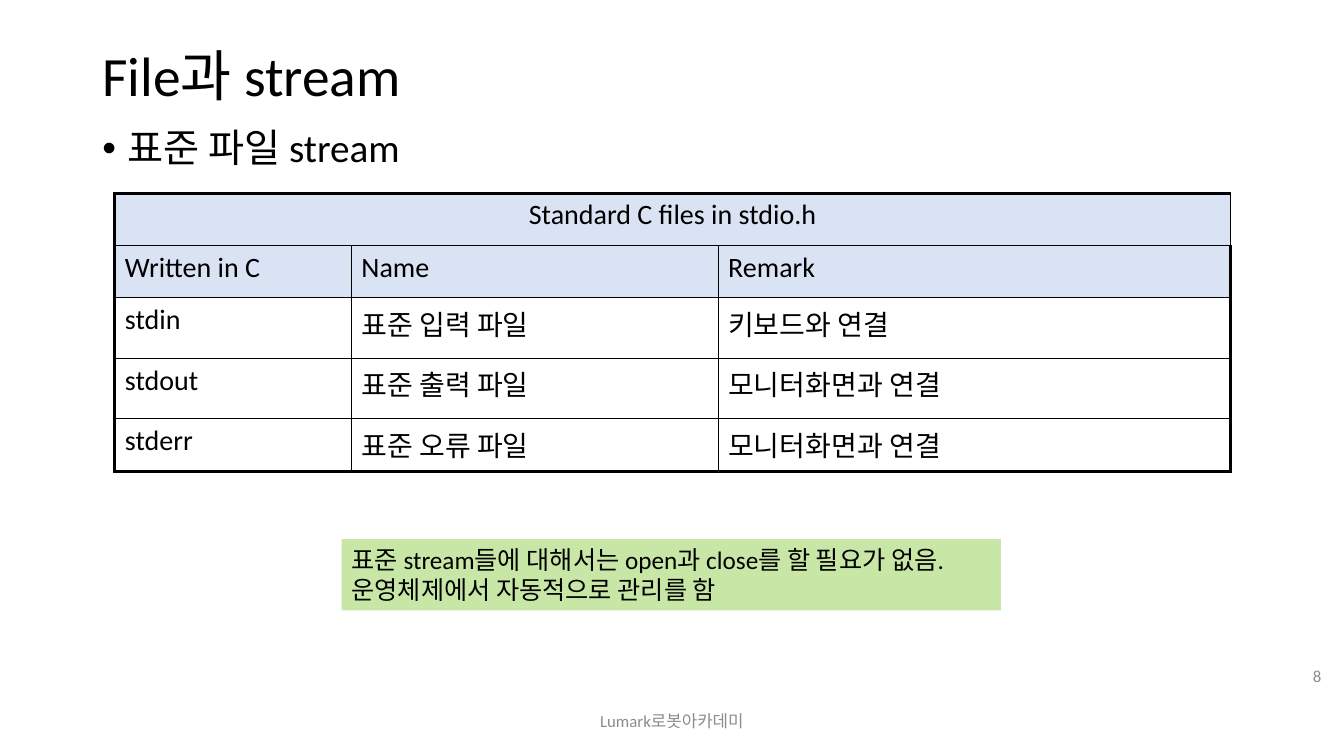
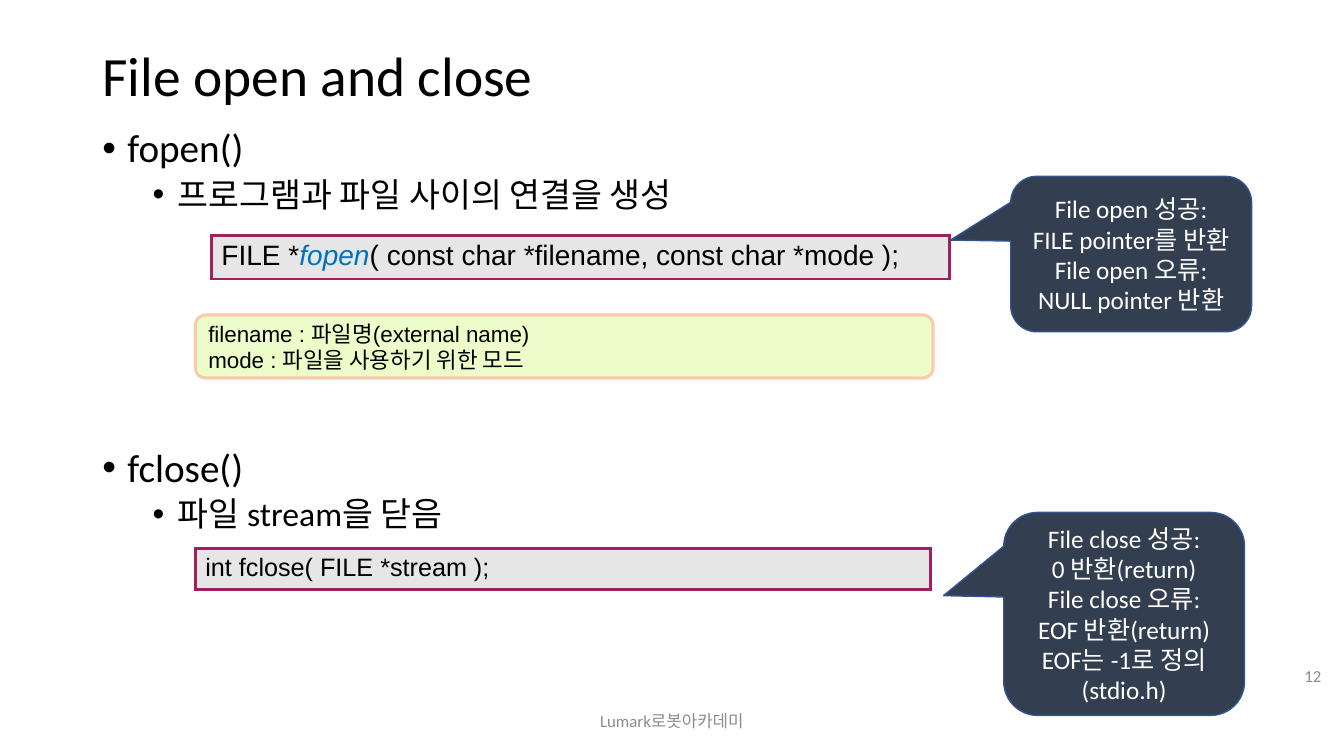
from itertools import product

from lxml.etree import SubElement
from pptx import Presentation
from pptx.dml.color import RGBColor
from pptx.enum.shapes import MSO_SHAPE as Shape
from pptx.enum.text import MSO_ANCHOR as Anchor, PP_ALIGN as Align
from pptx.oxml.ns import qn
from pptx.util import Pt

COLORS = {
    "ink": "000000", "muted": "8C8C8C", "white": "FFFFFF", "header": "DAE3F3",
    "note": "92D050", "code": "E7E6E6", "code_edge": "9F1F63", "keyword": "0070C0",
    "params": "ECFDC7", "params_edge": "F8CBAD", "callout": "333F50", "callout_edge": "325491",
}
FOOTER = "Lumark로봇아카데미"
LEVELS = [
    {"size": 28, "indent": 18, "before": 10},
    {"size": 24, "indent": 54, "before": 5},
]

STREAM_BULLETS = [(0, "표준 파일 stream", 0)]
STREAM_ROWS = [
    ["Standard C files in stdio.h", "", ""],
    ["Written in C", "Name", "Remark"],
    ["stdin", "표준 입력 파일", "키보드와 연결"],
    ["stdout", "표준 출력 파일", "모니터화면과 연결"],
    ["stderr", "표준 오류 파일", "모니터화면과 연결"],
]
STREAM_WIDTHS = [169, 262, 366]
STREAM_HEIGHTS = [37.4, 37.4, 43.2, 43.2, 37.4]
HEADER_ROWS = 2
STREAM_NOTE = [
    "표준 stream들에 대해서는 open과 close를 할 필요가 없음.",
    "운영체제에서 자동적으로 관리를 함",
]

OPEN_CLOSE_BULLETS = [
    (0, "fopen()", 0),
    (1, "프로그램과 파일 사이의 연결을 생성", 0),
    (0, "fclose()", 157),
    (1, "파일 stream을 닫음", 0),
]
PROTOTYPES = [
    (151, 168, 527, 30, 20,
     [("FILE *", False), ("fopen", True), ("( const char *filename, const char *mode );", False)]),
    (139.5, 392, 525, 28.5, 18, [("int fclose( FILE *stream );", False)]),
]
PARAMETERS = ["filename : 파일명(external name)", "mode : 파일을 사용하기 위한 모드"]
CALLOUTS = [
    (722, 126, 172, 111,
     ["File open 성공:\vFILE pointer를 반환", "File open 오류:", "NULL pointer 반환"]),
    (717, 366, 172, 145,
     ["File close 성공:\v0 반환(return)", "File close 오류:", "EOF 반환(return)",
      "EOF는 -1로 정의(stdio.h)"]),
]


def rgb(name):
    return RGBColor.from_string(COLORS[name])


def style(font, size, color="ink", face="Calibri"):
    font.size, font.name = Pt(size), face
    font.color.rgb = rgb(color)


def paint(item, color, opacity=100):
    item.fill.solid()
    item.fill.fore_color.rgb = rgb(color)
    if opacity < 100:
        tint = item.fill._xPr.find(qn("a:solidFill"))[0]
        SubElement(tint, qn("a:alpha"), val=str(opacity * 1000))


def write(frame, lines, size, color="ink", face="Calibri", align=Align.LEFT, anchor=Anchor.MIDDLE):
    frame.word_wrap = True
    frame.vertical_anchor = anchor
    for index, line in enumerate(lines):
        para = frame.paragraphs[0] if index == 0 else frame.add_paragraph()
        para.text = line
        para.alignment = align
        style(para.font, size, color, face)


def add_text(page, place, lines, size, **options):
    box = page.shapes.add_textbox(*map(Pt, place))
    write(box.text_frame, lines, size, **options)
    return box


def add_panel(page, kind, place, fill, edge, edge_width, opacity=100):
    panel = page.shapes.add_shape(kind, *map(Pt, place))
    panel.shadow.inherit = False
    paint(panel, fill, opacity)
    panel.line.color.rgb = rgb(edge)
    panel.line.width = Pt(edge_width)
    return panel


def add_bullets(page, bullets):
    frame = page.shapes.add_textbox(Pt(66), Pt(88.5), Pt(828), Pt(398)).text_frame
    frame.word_wrap = True
    for index, (level, text, gap) in enumerate(bullets):
        look = LEVELS[level]
        para = frame.paragraphs[0] if index == 0 else frame.add_paragraph()
        para.text = text
        para.level = level
        para.line_spacing = 0.9
        para.space_before = Pt(look["before"] + gap if index else 0)
        props = para._p.get_or_add_pPr()
        props.set("marL", str(Pt(look["indent"])))
        props.set("indent", str(Pt(-18)))
        SubElement(props, qn("a:buFont"), typeface="Arial")
        SubElement(props, qn("a:buChar"), char="•")
        style(para.font, look["size"])


def add_page(deck, title, number, bullets):
    page = deck.slides.add_slide(deck.slide_layouts[6])
    heading = add_text(page, (66, 29, 828, 54), [title], 39.6)
    heading.text_frame.paragraphs[0].line_spacing = 0.9
    add_bullets(page, bullets)
    add_text(page, (318, 500.5, 324, 29), [FOOTER], 12, color="muted", align=Align.CENTER)
    add_text(page, (906, 468.5, 45, 29), [number], 12, color="muted", align=Align.RIGHT)
    return page


def add_grid(page, left, top, widths, heights):
    table = page.shapes.add_table(
        len(heights), len(widths), Pt(left), Pt(top), Pt(sum(widths)), Pt(sum(heights))).table
    table.first_row = table.horz_banding = False
    for column, width in zip(table.columns, widths):
        column.width = Pt(width)
    for row, height in zip(table.rows, heights):
        row.height = Pt(height)
    return table


def finish_cell(cell, fill, color, widths):
    cell.margin_left = cell.margin_right = Pt(7.2)
    cell.margin_top = cell.margin_bottom = Pt(3.6)
    props = cell._tc.get_or_add_tcPr()
    for side, width in zip("LRTB", widths):
        line = SubElement(props, qn("a:ln" + side), w=str(Pt(width)))
        solid = SubElement(line, qn("a:solidFill"))
        SubElement(solid, qn("a:srgbClr"), val=COLORS[color])
    if fill:
        paint(cell, fill)
    else:
        cell.fill.background()


def add_stream_table(page):
    table = add_grid(page, 82, 138, STREAM_WIDTHS, STREAM_HEIGHTS)
    last_row, last_column = len(STREAM_HEIGHTS) - 1, len(STREAM_WIDTHS) - 1
    for row, column in product(range(last_row + 1), range(last_column + 1)):
        cell = table.cell(row, column)
        outer = (column == 0, column == last_column, row == 0, row == last_row)
        edges = [2.25 if is_outer else 1 for is_outer in outer]
        finish_cell(cell, "header" if row < HEADER_ROWS else None, "ink", edges)
        if STREAM_ROWS[row][column]:
            align = Align.LEFT if row else Align.CENTER
            write(cell.text_frame, [STREAM_ROWS[row][column]], 20, align=align, anchor=Anchor.TOP)
    table.cell(0, 0).merge(table.cell(0, last_column))


def add_prototype(page, left, top, width, height, size, pieces):
    cell = add_grid(page, left, top, [width], [height]).cell(0, 0)
    finish_cell(cell, "code", "code_edge", [2.25] * 4)
    para = cell.text_frame.paragraphs[0]
    for text, is_keyword in pieces:
        span = para.add_run()
        span.text = text
        style(span.font, size, "keyword" if is_keyword else "ink", "Arial")
        span.font.italic = is_keyword


def build_streams(deck):
    page = add_page(deck, "File과 stream", "8", STREAM_BULLETS)
    add_stream_table(page)
    note = add_text(page, (244, 385, 471, 51), STREAM_NOTE, 18, anchor=Anchor.TOP)
    note.text_frame.word_wrap = False
    paint(note, "note", 50)


def build_open_close(deck):
    page = add_page(deck, "File open and close", "12", OPEN_CLOSE_BULLETS)
    for prototype in PROTOTYPES:
        add_prototype(page, *prototype)
    panel = add_panel(page, Shape.ROUNDED_RECTANGLE, (139.5, 225, 527, 45),
                      "params", "params_edge", 2.25, 93)
    write(panel.text_frame, PARAMETERS, 16, face="Arial")
    for *place, lines in CALLOUTS:
        callout = add_panel(page, Shape.ROUNDED_RECTANGULAR_CALLOUT, place,
                            "callout", "callout_edge", 1)
        callout.adjustments[0], callout.adjustments[1] = -0.75, -0.09
        write(callout.text_frame, lines, 18, color="white", align=Align.CENTER)


def main():
    deck = Presentation()
    deck.slide_width, deck.slide_height = Pt(960), Pt(540)
    build_streams(deck)
    build_open_close(deck)
    deck.save("out.pptx")


if __name__ == "__main__":
    main()
